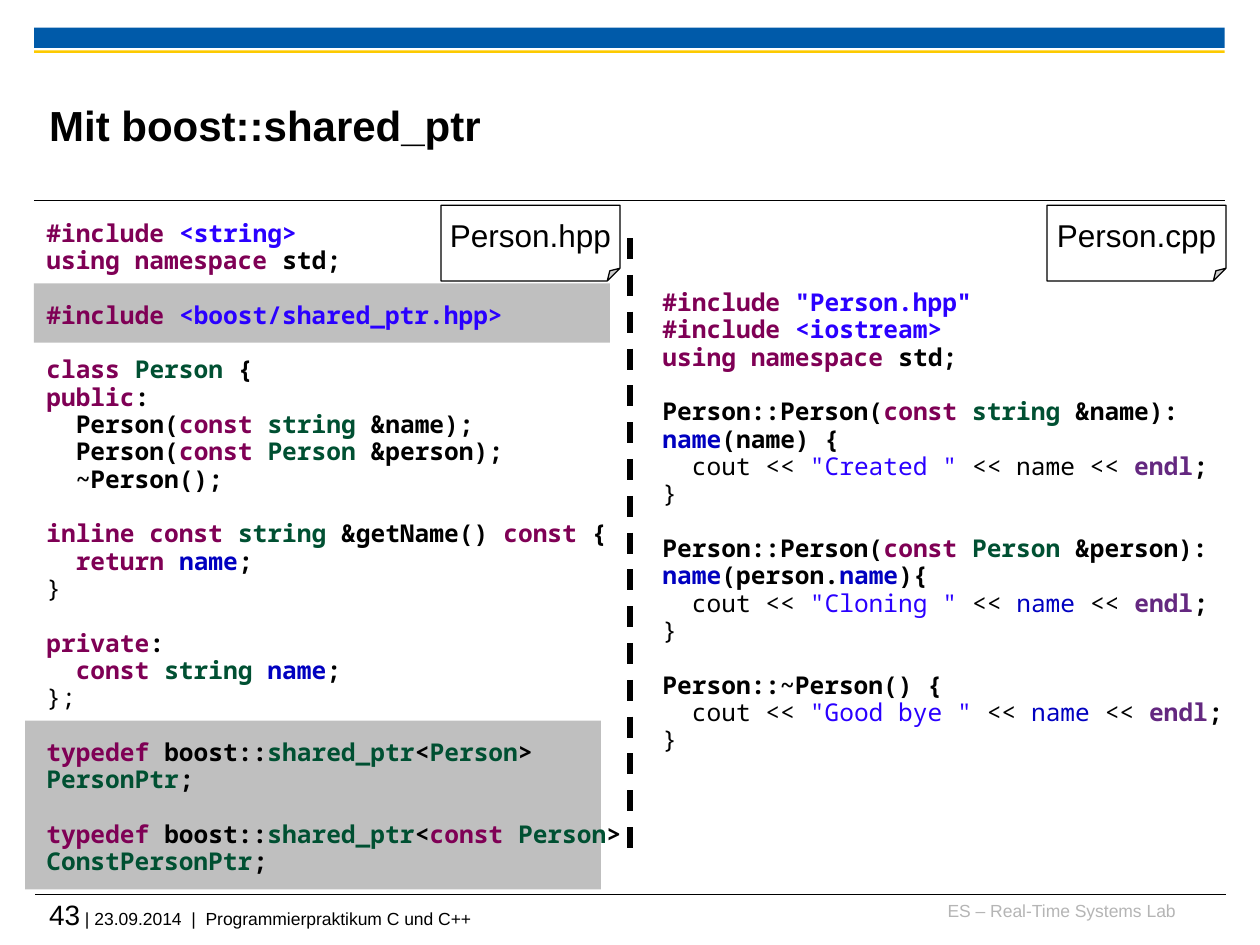
"""Build the slide on boost::shared_ptr with the header and source listings."""
import pptx
import pptx.dml.color
import pptx.enum.dml
import pptx.enum.shapes
import pptx.enum.text
import pptx.oxml.ns
import pptx.util
from lxml import etree

Inches, Pt = pptx.util.Inches, pptx.util.Pt
ALIGN, ANCHOR = pptx.enum.text.PP_ALIGN, pptx.enum.text.MSO_ANCHOR
SHAPE = pptx.enum.shapes.MSO_SHAPE

COLORS = {
    "black": "000000", "white": "FFFFFF", "blue": "005AA9", "yellow": "FDCA00",
    "highlight": "BFBFBF", "lab": "B5B5B5", "keyword": "7F0055", "literal": "2A00FF",
    "type": "005032", "field": "0000C0", "manipulator": "642880",
}
CODE_STYLES = {
    "keyword": ("keyword", True), "type": ("type", True), "manipulator": ("manipulator", True),
    "bold": ("black", True), "plain": ("black", False),
    "literal": ("literal", True), "output": ("literal", False),
    "field": ("field", True), "value": ("field", False),
}
LINE_SPACING = 0.93
CODE_LINE = Pt(15.6)


def rgb(name):
    return pptx.dml.color.RGBColor.from_string(COLORS[name])


def add_run(paragraph, text, **font_values):
    run = paragraph.add_run()
    run.text = text
    run.font.color.rgb = rgb(font_values.pop("color", "black"))
    for attribute, value in {"name": "Arial", **font_values}.items():
        setattr(run.font, attribute, value)


presentation = pptx.Presentation()
presentation.slide_width, presentation.slide_height = Inches(10), Inches(7.5)
slide = presentation.slides.add_slide(presentation.slide_layouts[5])
shapes = slide.shapes

bands = [
    ("blue", 0.27, 0.22, 9.45, 0.16),
    ("yellow", 0.27, 0.4, 9.45, 0.02),
    ("highlight", 0.27, 2.25, 4.57, 0.47),
    ("highlight", 0.2, 5.72, 4.57, 1.34),
]
for color, *box in bands:
    band = shapes.add_shape(SHAPE.RECTANGLE, *map(Inches, box))
    band.shadow.inherit = False
    band.fill.solid()
    band.fill.fore_color.rgb = rgb(color)
    band.line.fill.background()

rules = [
    (0.28, 7.1, 9.73, 7.1, 0.6, None),
    (0.27, 1.59, 9.72, 1.59, 0.6, None),
    (5, 1.89, 5, 6.82, 3, pptx.enum.dml.MSO_LINE.DASH),
]
for *ends, weight, dash in rules:
    rule = shapes.add_connector(pptx.enum.shapes.MSO_CONNECTOR.STRAIGHT, *map(Inches, ends))
    rule.line.color.rgb = rgb("black")
    rule.line.width = Pt(weight)
    rule.line.dash_style = dash
    etree.SubElement(rule._element.spPr, pptx.oxml.ns.qn("a:effectLst"))

title = shapes.title
title.left, title.top, title.width, title.height = map(Inches, (0.39, 0.53, 7.52, 0.92))
title.text_frame.vertical_anchor = ANCHOR.MIDDLE
title.text_frame.paragraphs[0].alignment = ALIGN.LEFT
add_run(title.text_frame.paragraphs[0], "Mit boost::shared_ptr", size=Pt(24), bold=True)

lab = shapes.add_textbox(*map(Inches, (7.36, 7.14, 1.97, 0.25)))
lab.text_frame.paragraphs[0].alignment = ALIGN.RIGHT
add_run(lab.text_frame.paragraphs[0], "ES – Real-Time Systems Lab", size=Pt(10), color="lab")

footer = shapes.add_textbox(*map(Inches, (0.39, 7.12, 9.33, 0.33)))
add_run(footer.text_frame.paragraphs[0], "43", size=Pt(16))
add_run(footer.text_frame.paragraphs[0],
        " | 23.09.2014  |  Programmierpraktikum C und C++", size=Pt(10))

for flush in (title, lab, footer):
    frame = flush.text_frame
    frame.word_wrap = True
    for side in ("left", "top", "right", "bottom"):
        setattr(frame, f"margin_{side}", 0)

header_code = """keyword|#include |literal|<string>
keyword|using namespace |bold|std;

keyword|#include |literal|<boost/shared_ptr.hpp>

keyword|class |type|Person|bold| {
keyword|public|bold|:
bold|  Person(|keyword|const |type|string|bold| &name);
bold|  Person(|keyword|const |type|Person|bold| &person);
bold|  ~Person();

keyword|inline const |type|string|bold| &getName() |keyword|const|bold| {
keyword|  return |field|name|bold|;
plain|}

keyword|private|bold|:
keyword|  const |type|string |field|name|bold|;
plain|};

keyword|typedef |bold|boost::|type|shared_ptr|bold|<|type|Person|bold|>
type|PersonPtr|bold|;

keyword|typedef|bold| boost::|type|shared_ptr|bold|<|keyword|const |type|Person|bold|>
type|ConstPersonPtr|bold|;"""

source_code = """keyword|#include |literal|"Person.hpp"
keyword|#include |literal|<iostream>
keyword|using namespace |bold|std;

bold|Person::Person(|keyword|const |type|string|bold| &name):
field|name|bold|(name) {
plain|  cout << |output|"Created "|plain| << name << |manipulator|endl|bold|;
plain|}

bold|Person::Person(|keyword|const |type|Person|bold| &person):
field|name|bold|(person.|field|name|bold|){
plain|  cout << |output|"Cloning "|plain| << |value|name|plain| << |manipulator|endl|bold|;
plain|}

bold|Person::~Person() {
plain|  cout << |output|"Good bye "|plain| << |value|name|plain| << |manipulator|endl|bold|;
plain|}"""

listings = [
    (header_code, 0.27, 1.7, 6.3, 5.36),
    (source_code, 5.16, 2.25, 4.8, 4.05),
]
for code, *box in listings:
    frame = shapes.add_textbox(*map(Inches, box)).text_frame
    frame.word_wrap = True
    frame.auto_size = pptx.enum.text.MSO_AUTO_SIZE.SHAPE_TO_FIT_TEXT
    line = frame.paragraphs[0]
    for block_index, block in enumerate(code.split("\n\n")):
        for line_index, marked_line in enumerate(block.split("\n")):
            if block_index or line_index:
                line = frame.add_paragraph()
            if block_index and not line_index:
                line.space_before = CODE_LINE
            line.line_spacing = LINE_SPACING
            parts = marked_line.split("|")
            for style, text in zip(parts[::2], parts[1::2]):
                color, bold = CODE_STYLES[style]
                add_run(line, text, name="Noto Sans Mono", size=Pt(14), color=color, bold=bold)

for file_name, left in (("Person.hpp", 3.5), ("Person.cpp", 8.31)):
    note = shapes.add_shape(SHAPE.FOLDED_CORNER, *map(Inches, (left, 1.63, 1.42, 0.6)))
    note.shadow.inherit = False
    note.fill.solid()
    note.fill.fore_color.rgb = rgb("white")
    note.line.color.rgb = rgb("black")
    note.line.width = Pt(0.75)
    note.text_frame.word_wrap = False
    note.text_frame.vertical_anchor = ANCHOR.MIDDLE
    label = note.text_frame.paragraphs[0]
    label.alignment = ALIGN.CENTER
    label.line_spacing = LINE_SPACING
    add_run(label, file_name, size=Pt(18))

presentation.save("out.pptx")
